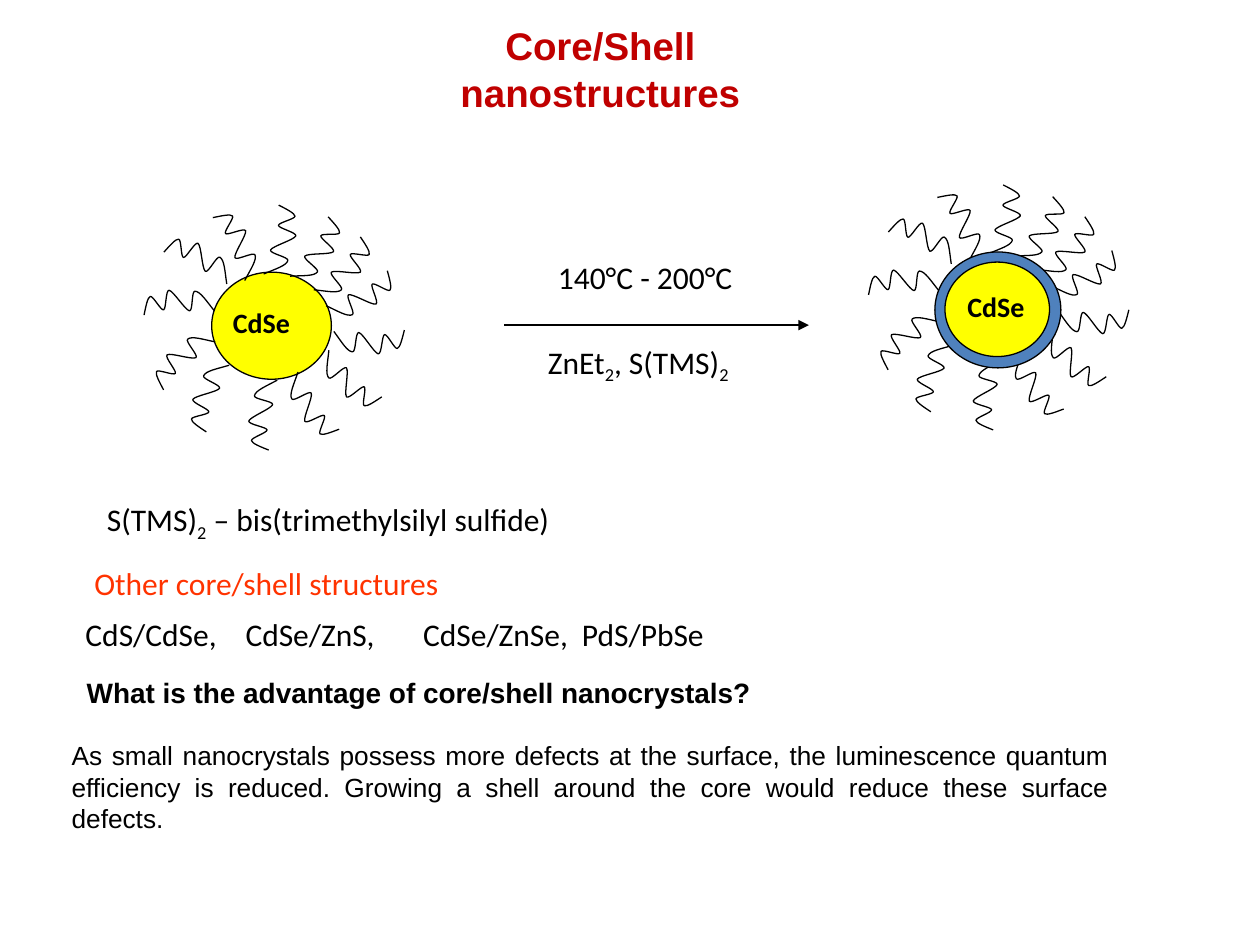
from lxml import etree
from pptx import Presentation
from pptx import util as u
from pptx.dml.color import RGBColor
from pptx.enum import shapes, text
from pptx.oxml.ns import qn

COLORS = {"black": "000000", "title": "C00000", "heading": "FF3300",
          "core": "FFFF00", "shell": "4F81BD"}

presentation = Presentation()
presentation.slide_width, presentation.slide_height = u.Inches(10), u.Inches(7.5)
slide = presentation.slides.add_slide(presentation.slide_layouts[5])
# The slide is a grid of 100 columns by 75 rows of square cells.
cell = presentation.slide_width // 100


def write(shape, box, parts, size, font="Calibri", color="black", bold=False,
          tabs=(), wrap=True):
    """Place a text shape on the grid; every second part is a subscript."""
    shape.left, shape.top, shape.width, shape.height = [int(v * cell) for v in box]
    frame = shape.text_frame
    frame.word_wrap = wrap
    frame.auto_size = text.MSO_AUTO_SIZE.NONE
    paragraph = frame.paragraphs[0]
    if tabs:
        tab_list = etree.SubElement(paragraph._p.get_or_add_pPr(), qn("a:tabLst"))
        for column in tabs:
            etree.SubElement(tab_list, qn("a:tab"), pos=str(int(column * cell)), algn="l")
    for index, part in enumerate(parts):
        run = paragraph.add_run()
        run.text = part
        if index % 2:
            run._r.get_or_add_rPr().set("baseline", "-25000")
    paragraph.font.name = font
    paragraph.font.size = u.Pt(size)
    paragraph.font.bold = bold
    paragraph.font.color.rgb = RGBColor.from_string(COLORS[color])
    return paragraph


def add_circles(group, circles):
    for box, color in circles:
        circle = group.shapes.add_shape(shapes.MSO_SHAPE.OVAL,
                                        *[int(v * cell) for v in box])
        circle.shadow.inherit = False
        circle.fill.solid()
        circle.fill.fore_color.rgb = RGBColor.from_string(COLORS[color])
        circle.line.color.rgb = RGBColor.from_string(COLORS["black"])
        circle.line.width = u.Pt(0.75)


title = write(slide.shapes.title, (27.6, 3.1, 40.1, 4.7), ["Core/Shell nanostructures"],
              22, "Arial", "title", True, wrap=False)
title.alignment = text.PP_ALIGN.CENTER

# Start and Bezier points of one wavy ligand, in tenths of a cell
WAVE = [(0, 42), (10, 43), (19, 45), (22, 42), (24, 40), (12, 30), (14, 28),
        (17, 26), (34, 30), (37, 28), (39, 26), (28, 16), (29, 14),
        (30, 12), (43, 16), (44, 14), (45, 12), (41, 6), (37, 0)]
# Left, top and rotation of each ligand around the left particle
LIGANDS = [(25.8, 27.8, 90), (24.9, 18.8, 0), (27.2, 24.4, 47.5), (19.7, 16.7, 330.9),
           (12.4, 26.6, 185.7), (11.8, 22.2, 225.2), (26.4, 20.9, 18.8),
           (13.3, 18.6, 255.5), (16.2, 17.2, 291.8), (22.8, 29.9, 102.9),
           (14.6, 29.4, 157.5), (19, 30.8, 145.6), (22.7, 17.4, 351.3)]
# Ligand offset, circles behind the ligands, circles in front, label box
PARTICLES = [
    ((0, 0), [((16.8, 21.6, 9.5, 8.5), "core")], [], (17.5, 23.8, 7.7, 3.7)),
    ((57.5, -1.6), [], [((74.2, 20, 10, 9.2), "shell"), ((75, 20.8, 8.3, 7.5), "core")],
     (75.8, 22.5, 7.7, 3.7)),
]
for (shift_x, shift_y), behind, in_front, label_box in PARTICLES:
    group = slide.shapes.add_group_shape()
    add_circles(group, behind)
    for left, top, rotation in LIGANDS:
        builder = group.shapes.build_freeform(*WAVE[0], scale=cell / 10)
        builder.add_line_segments(WAVE[1:], close=False)
        ligand = builder.convert_to_shape(int((left + shift_x) * cell),
                                          int((top + shift_y) * cell))
        # Turn each three straight segments into one Bezier curve
        segments = list(ligand._element.iter(qn("a:lnTo")))
        for first in range(0, len(segments), 3):
            curve = etree.SubElement(segments[first].getparent(), qn("a:cubicBezTo"))
            for segment in segments[first:first + 3]:
                curve.append(segment[0])
                segment.getparent().remove(segment)
        ligand.rotation = rotation
        ligand.shadow.inherit = False
        ligand.fill.background()
        ligand.line.color.rgb = RGBColor.from_string(COLORS["black"])
        ligand.line.width = u.Pt(0.75)
    add_circles(group, in_front)
    label = group.shapes.add_textbox(*[int(v * cell) for v in label_box])
    write(label, label_box, ["CdSe"], 16, bold=True)

arrow = slide.shapes.add_connector(shapes.MSO_CONNECTOR.STRAIGHT,
                                   *[int(v * cell) for v in (40, 25.8, 64.2, 25.8)])
arrow.line.color.rgb = RGBColor.from_string(COLORS["black"])
arrow.line.width = u.Pt(1.5)
etree.SubElement(arrow.line._get_or_add_ln(), qn("a:tailEnd"), type="triangle")
etree.SubElement(arrow._element.spPr, qn("a:effectLst"))

TEXTS = [
    ((42.5, 26.7, 19.2, 4.4), ["ZnEt", "2", ", S(TMS)", "2"], {}),
    ((43.3, 20, 18.3, 4), ["140°C - 200°C"], {}),
    ((7.5, 39.2, 45.8, 4.4), ["S(TMS)", "2", " – bis(trimethylsilyl sulfide)"], {}),
    ((6.5, 44.3, 29.5, 4), ["Other core/shell structures"],
     {"color": "heading", "wrap": False}),
]
for box, parts, style in TEXTS:
    write(slide.shapes.add_textbox(0, 0, 0, 0), box, parts, 18, **style)

examples = write(slide.shapes.add_textbox(0, 0, 0, 0), (5.8, 47.6, 63.5, 4.8),
                 ["CdS/CdSe,\tCdSe/ZnS,\tCdSe/ZnSe,\tPdS/PbSe"], 18,
                 tabs=(12.7, 26.8, 39.4))
examples.line_spacing = 1.25

write(slide.shapes.add_textbox(0, 0, 0, 0), (5.9, 53.1, 54.7, 3.7),
      ["What is the advantage of core/shell nanocrystals?"], 16, "Arial",
      bold=True, wrap=False)
answer = write(slide.shapes.add_textbox(0, 0, 0, 0), (4.7, 58.2, 84.3, 8.5),
               ["As small nanocrystals possess more defects at the surface, the "
                "luminescence quantum efficiency is reduced. Growing a shell around "
                "the core would reduce these surface defects."], 15, "Arial")
answer.alignment = text.PP_ALIGN.JUSTIFY

presentation.save("out.pptx")
